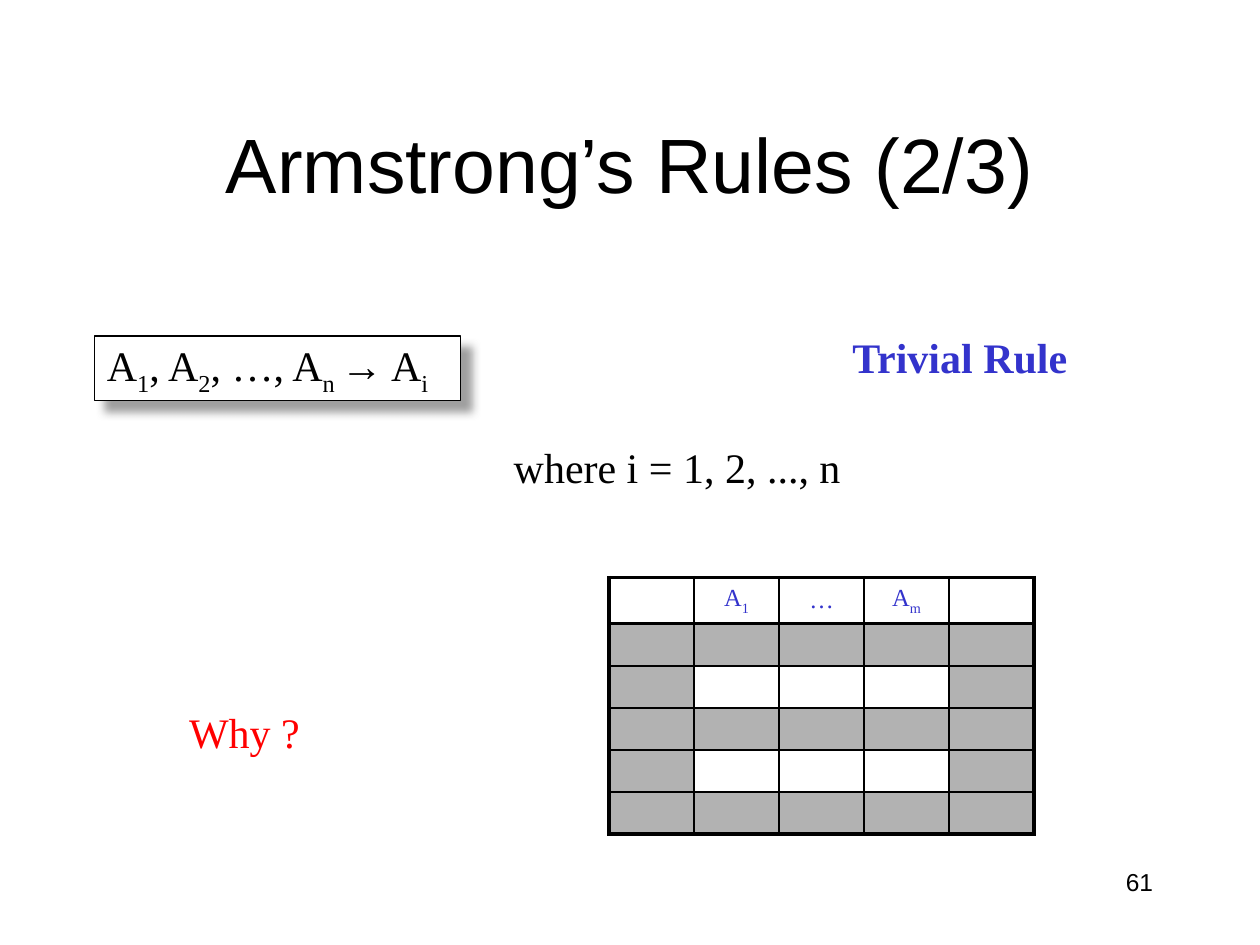
from dataclasses import dataclass

from lxml.etree import SubElement
from pptx import Presentation
from pptx.dml.color import RGBColor
from pptx.enum.shapes import MSO_SHAPE
from pptx.enum.text import MSO_ANCHOR, PP_ALIGN
from pptx.oxml.ns import qn
from pptx.util import Pt


@dataclass(frozen=True)
class Theme:
    """Colours, fonts and type sizes of the slide."""
    black: str = "000000"
    white: str = "FFFFFF"
    blue: str = "3333CC"
    red: str = "FF0000"
    grey: str = "B2B2B2"
    shadow: str = "808080"
    sans: str = "Arial"
    serif: str = "Times New Roman"
    title: float = 44
    body: float = 24
    small: float = 14
    thick: float = 2.25
    thin: float = 1


@dataclass(frozen=True)
class Box:
    """A rectangle in points."""
    left: float
    top: float
    width: float
    height: float

    def lengths(self):
        """Return the four lengths for python-pptx."""
        return Pt(self.left), Pt(self.top), Pt(self.width), Pt(self.height)


THEME = Theme()


def style(span, size, color, face=THEME.serif, bold=False):
    """Format one run."""
    span.font.size = Pt(size)
    span.font.name = face
    span.font.bold = bold
    span.font.color.rgb = RGBColor.from_string(color)


def write_formula(para, parts, size, color):
    """Write parts that alternate between normal text and subscript."""
    for index, part in enumerate(parts):
        span = para.add_run()
        span.text = part
        style(span, size, color)
        if index % 2:
            span.font._element.set("baseline", "-25000")


def add_title(page, box, text):
    """Fill and place the title placeholder."""
    title = page.shapes.title
    title.left, title.top, title.width, title.height = box.lengths()
    title.text_frame.text = text
    title.text_frame.vertical_anchor = MSO_ANCHOR.MIDDLE
    para = title.text_frame.paragraphs[0]
    para.alignment = PP_ALIGN.CENTER
    style(para.runs[0], THEME.title, THEME.black, THEME.sans)


def add_label(page, box, text, color, size=THEME.body, face=THEME.serif,
              bold=False, align=PP_ALIGN.LEFT):
    """Add a line of text."""
    frame = page.shapes.add_textbox(*box.lengths()).text_frame
    frame.word_wrap = align == PP_ALIGN.RIGHT
    frame.text = text
    para = frame.paragraphs[0]
    para.alignment = align
    style(para.runs[0], size, color, face, bold)


def add_shadow(shape):
    """Give a shape a soft shadow to the lower right."""
    effects = SubElement(shape._element.spPr, qn("a:effectLst"))
    shadow = SubElement(effects, qn("a:outerShdw"), blurRad=str(Pt(5)),
                        dist=str(Pt(8.5)), dir="2700000", algn="ctr", rotWithShape="0")
    color = SubElement(shadow, qn("a:srgbClr"), val=THEME.shadow)
    SubElement(color, qn("a:alpha"), val="75000")


def add_rule(page, box, parts):
    """Add the framed rule with its shadow."""
    rule = page.shapes.add_shape(MSO_SHAPE.RECTANGLE, *box.lengths())
    rule.fill.solid()
    rule.fill.fore_color.rgb = RGBColor.from_string(THEME.white)
    rule.line.color.rgb = RGBColor.from_string(THEME.black)
    rule.line.width = Pt(0.75)
    add_shadow(rule)
    frame = rule.text_frame
    frame.word_wrap = True
    frame.vertical_anchor = MSO_ANCHOR.MIDDLE
    frame.paragraphs[0].alignment = PP_ALIGN.LEFT
    write_formula(frame.paragraphs[0], parts, THEME.body, THEME.black)


def set_borders(cell, widths):
    """Draw the left, right, top and bottom borders of a cell."""
    properties = cell._tc.get_or_add_tcPr()
    for side, width in zip("LRTB", widths):
        line = SubElement(properties, qn(f"a:ln{side}"), w=str(Pt(width)))
        fill = SubElement(line, qn("a:solidFill"))
        SubElement(fill, qn("a:srgbClr"), val=THEME.black)


def add_relation(page, box, header, white_rows, row_count):
    """Add the relation table with its matching tuples left white."""
    last_row, last_column = row_count - 1, len(header) - 1
    table = page.shapes.add_table(row_count, len(header), *box.lengths()).table
    table.first_row = table.horz_banding = False
    body_height = 24
    for index, row in enumerate(table.rows):
        row.height = Pt(body_height if index else box.height - body_height * last_row)
        for column, cell in enumerate(row.cells):
            heavy = (column == 0, column == last_column,
                     index in (0, 1), index in (0, last_row))
            set_borders(cell, [THEME.thick if edge else THEME.thin for edge in heavy])
            inner = 0 < column < last_column
            plain = index == 0 or (index in white_rows and inner)
            cell.fill.solid()
            cell.fill.fore_color.rgb = RGBColor.from_string(
                THEME.white if plain else THEME.grey)
            cell.vertical_anchor = MSO_ANCHOR.MIDDLE
            para = cell.text_frame.paragraphs[0]
            para.alignment = PP_ALIGN.CENTER
            if index == 0 and header[column]:
                write_formula(para, header[column], THEME.small, THEME.blue)
            else:
                SubElement(para._p, qn("a:endParaRPr"), sz=str(THEME.small * 100))


def main():
    """Build the slide and save it."""
    deck = Presentation()
    deck.slide_width, deck.slide_height = Pt(720), Pt(540)
    page = deck.slides.add_slide(deck.slide_layouts[5])
    add_title(page, Box(54, 48, 612, 90), "Armstrong’s Rules (2/3)")
    add_label(page, Box(516, 492, 150, 36), "61", THEME.black, THEME.small,
              THEME.sans, align=PP_ALIGN.RIGHT)
    add_label(page, Box(480, 186, 139, 36), "Trivial Rule", THEME.blue, bold=True)
    add_label(page, Box(101, 400, 78, 36), "Why ?", THEME.red)
    add_relation(page, Box(348, 330, 243, 146.4),
                 [(), ("A", "1"), ("…",), ("A", "m"), ()], (2, 4), 6)
    add_label(page, Box(286.5, 249, 201.5, 36), "where i = 1, 2, ..., n", THEME.black)
    add_rule(page, Box(54, 192, 209, 37),
             ("A", "1", ", A", "2", ", …, A", "n ", "→ A", "i"))
    deck.save("out.pptx")


if __name__ == "__main__":
    main()
